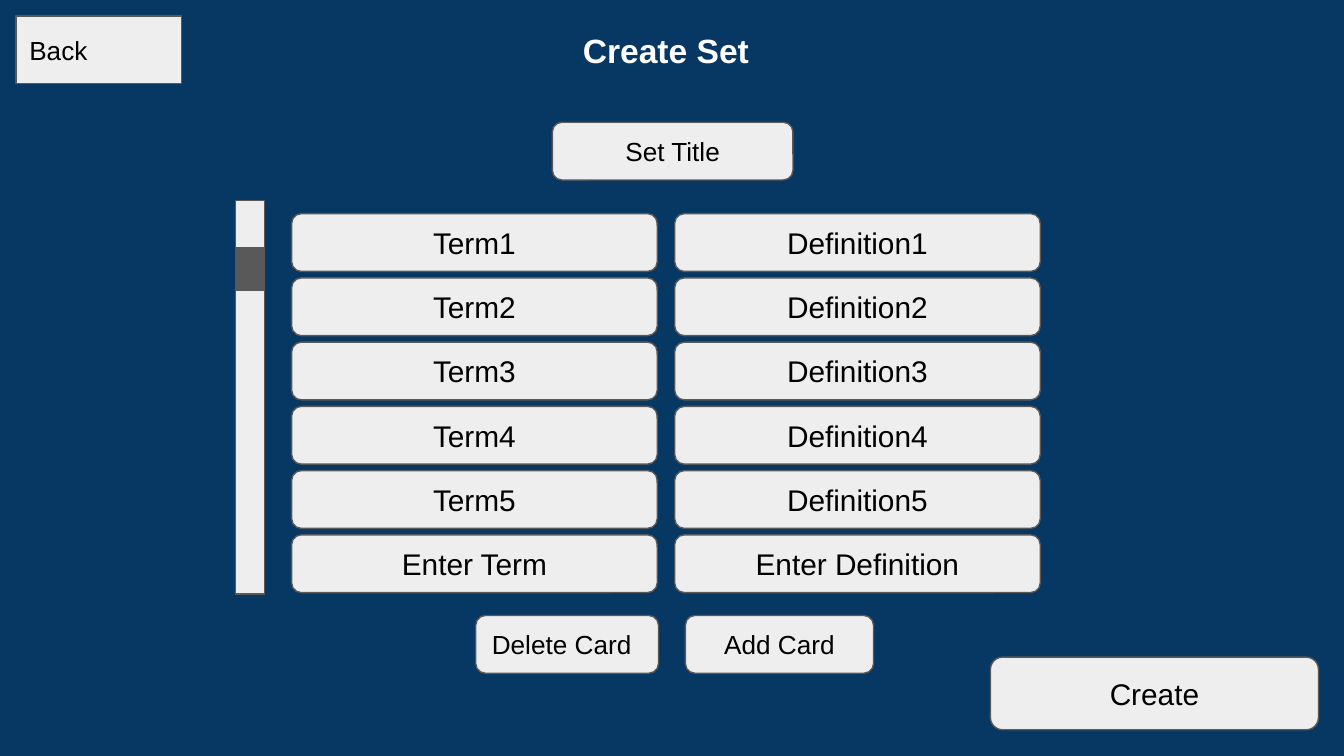
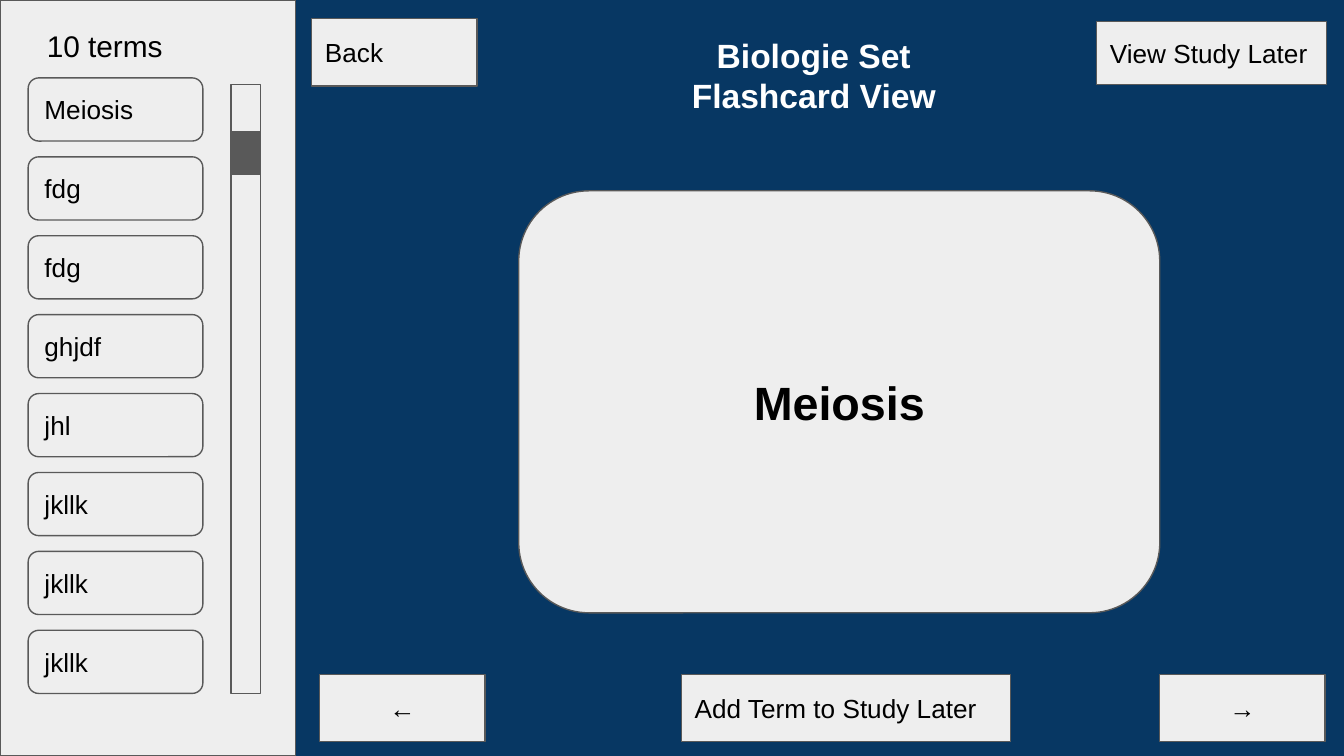
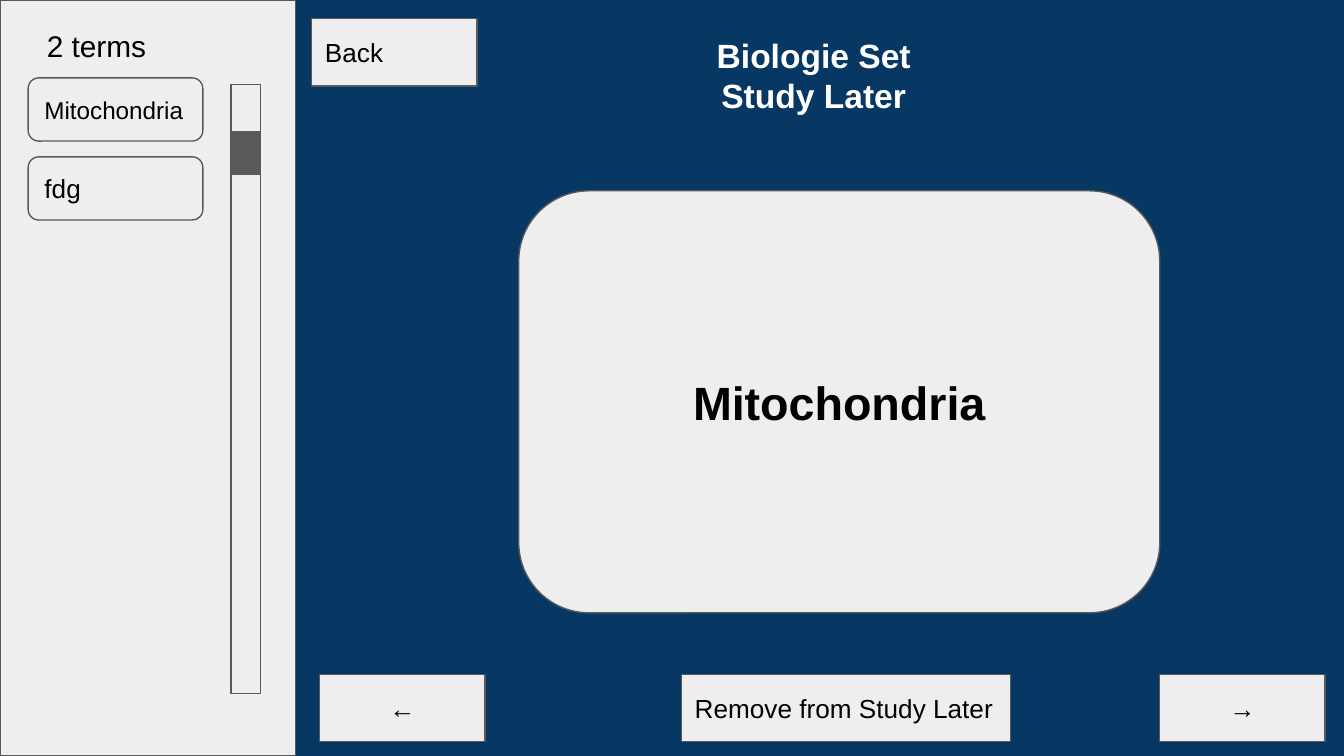
from typing import NamedTuple

from pptx import Presentation
from pptx import util as u
from pptx.dml.color import RGBColor
from pptx.enum import shapes, text

NAVY = RGBColor(0x07, 0x37, 0x63)
PALE = RGBColor(0xEE, 0xEE, 0xEE)
GREY = RGBColor(0x59, 0x59, 0x59)
BLACK = RGBColor(0, 0, 0)
WHITE = RGBColor(0xFF, 0xFF, 0xFF)

FONT = "Arial"
INSET = u.Inches(0.1)
RECT = shapes.MSO_SHAPE.RECTANGLE
ROUNDED = shapes.MSO_SHAPE.ROUNDED_RECTANGLE
LEFT = text.PP_ALIGN.LEFT
CENTER = text.PP_ALIGN.CENTER


class Box(NamedTuple):
    """A region in inches."""
    left: float
    top: float
    width: float
    height: float

    def inner(self, left, top, width, height):
        """A box placed from this box's top left corner."""
        return Box(self.left + left, self.top + top, width, height)

    def lengths(self):
        return [u.Inches(side) for side in self]


SCREEN = Box(0, 0, 10, 10 * 9 / 16)
SIDEBAR = Box(0, 0, 2.2, SCREEN.height)
STUDY_AREA = Box(SIDEBAR.width, 0, SCREEN.width - SIDEBAR.width, SCREEN.height)
BUTTON_SIZE = (1.23, 0.5)


def write(frame, lines, size, color=BLACK, bold=False, align=LEFT):
    frame.word_wrap = True
    frame.margin_left = frame.margin_right = INSET
    frame.margin_top = frame.margin_bottom = INSET
    for index, line in enumerate(lines):
        paragraph = frame.add_paragraph() if index else frame.paragraphs[0]
        paragraph.alignment = align
        run = paragraph.add_run()
        run.text = line
        run.font.name = FONT
        run.font.size = u.Pt(size)
        run.font.bold = bold
        run.font.color.rgb = color


def add_panel(slide, box, outline=RECT, fill=PALE):
    panel = slide.shapes.add_shape(outline, *box.lengths())
    panel.shadow.inherit = False
    panel.fill.solid()
    panel.fill.fore_color.rgb = fill
    panel.line.color.rgb = GREY
    panel.line.width = u.Pt(0.75)
    return panel


def add_button(slide, box, label, outline=RECT, size=14, bold=False, align=LEFT):
    frame = add_panel(slide, box, outline).text_frame
    frame.vertical_anchor = text.MSO_ANCHOR.MIDDLE
    write(frame, [label], size, bold=bold, align=align)


def add_label(slide, box, lines, size, **style):
    """Plain text whose box grows with its lines."""
    frame = slide.shapes.add_textbox(*box.lengths()).text_frame
    write(frame, lines, size, **style)
    frame.auto_size = text.MSO_AUTO_SIZE.SHAPE_TO_FIT_TEXT


def add_title(slide, box, *lines):
    add_label(slide, box, lines, 18, color=WHITE, bold=True, align=CENTER)


def add_scrollbar(slide, box):
    add_panel(slide, box)
    add_panel(slide, box.inner(0, 0.35, box.width, 0.32), fill=GREY)


def add_screen(deck):
    """A blank slide with the shared background."""
    slide = deck.slides.add_slide(deck.slide_layouts[6])
    slide.background.fill.solid()
    slide.background.fill.fore_color.rgb = NAVY
    return slide


def add_card_grid(slide, box, cards):
    """Term and definition fields, spread evenly over the box."""
    width, height = 2.72, 0.43
    column_step = box.width - width
    row_step = (box.height - height) / (len(cards) - 1)
    for row, card in enumerate(cards):
        for column, entry in enumerate(card):
            field = box.inner(column * column_step, row * row_step, width, height)
            add_button(slide, field, entry, ROUNDED, 16, align=CENTER)


def build_create_set(deck):
    slide = add_screen(deck)
    cards = [(f"Term{n}", f"Definition{n}") for n in range(1, 6)]
    cards.append(("Enter Term", "Enter Definition"))

    add_title(slide, SCREEN.inner(3.41, 0.12, 3.09, 0.5), "Create Set")
    add_button(slide, SCREEN.inner(0.12, 0.12, *BUTTON_SIZE), "Back")
    add_scrollbar(slide, SCREEN.inner(1.75, 1.49, 0.22, 2.93))
    add_card_grid(slide, SCREEN.inner(2.17, 1.59, 5.57, 2.82), cards)
    for place, label, size, align in (
        ((4.11, 0.91, 1.79, 0.43), "Set Title", 14, CENTER),
        ((3.54, 4.58, 1.36, 0.43), "Delete Card", 14, LEFT),
        ((5.1, 4.58, 1.4, 0.43), "Add Card", 14, CENTER),
        ((7.37, 4.89, 2.44, 0.54), "Create", 16, CENTER),
    ):
        add_button(slide, SCREEN.inner(*place), label, ROUNDED, size, align=align)


def add_sidebar(slide, box, count, terms):
    add_panel(slide, box)
    add_label(slide, box.inner(0.25, 0.11, 1.23, 0.47), [count], 16)
    add_scrollbar(slide, box.inner(1.72, 0.63, 0.22, 4.53))
    first, last, slots = 0.58, 4.69, 8
    step = (last - first) / (slots - 1)
    for slot, term in enumerate(terms):
        size = 13 if len(term) > 10 else 14
        place = box.inner(0.21, first + slot * step, 1.3, 0.47)
        add_button(slide, place, term, ROUNDED, size)


def add_study_area(slide, box, view, term, action):
    add_title(slide, box.inner(2.31, 0.16, 3.09, 0.81), "Biologie Set", view)
    add_button(slide, box.inner(0.12, 0.14, *BUTTON_SIZE), "Back")
    add_button(slide, box.inner(1.66, 1.42, 4.77, 3.14), term, ROUNDED, 25,
               bold=True, align=CENTER)
    for left, arrow in ((0.18, "←"), (6.43, "→")):
        add_button(slide, box.inner(left, 5.02, *BUTTON_SIZE), arrow, align=CENTER)
    add_button(slide, box.inner(2.87, 5.02, 2.45, 0.5), action)


def build_study(deck, view, count, terms, action):
    slide = add_screen(deck)
    add_sidebar(slide, SIDEBAR, count, terms)
    add_study_area(slide, STUDY_AREA, view, terms[0], action)
    return slide


def main():
    deck = Presentation()
    deck.slide_width = u.Inches(SCREEN.width)
    deck.slide_height = u.Inches(SCREEN.height)

    build_create_set(deck)
    flashcards = build_study(
        deck, "Flashcard View", "10 terms",
        ["Meiosis", "fdg", "fdg", "ghjdf", "jhl", "jkllk", "jkllk", "jkllk"],
        "Add Term to Study Later")
    add_button(flashcards, STUDY_AREA.inner(5.96, 0.16, 1.71, 0.47),
               "View Study Later")
    build_study(deck, "Study Later", "2 terms", ["Mitochondria", "fdg"],
                "Remove from Study Later")

    deck.save("out.pptx")


if __name__ == "__main__":
    main()
